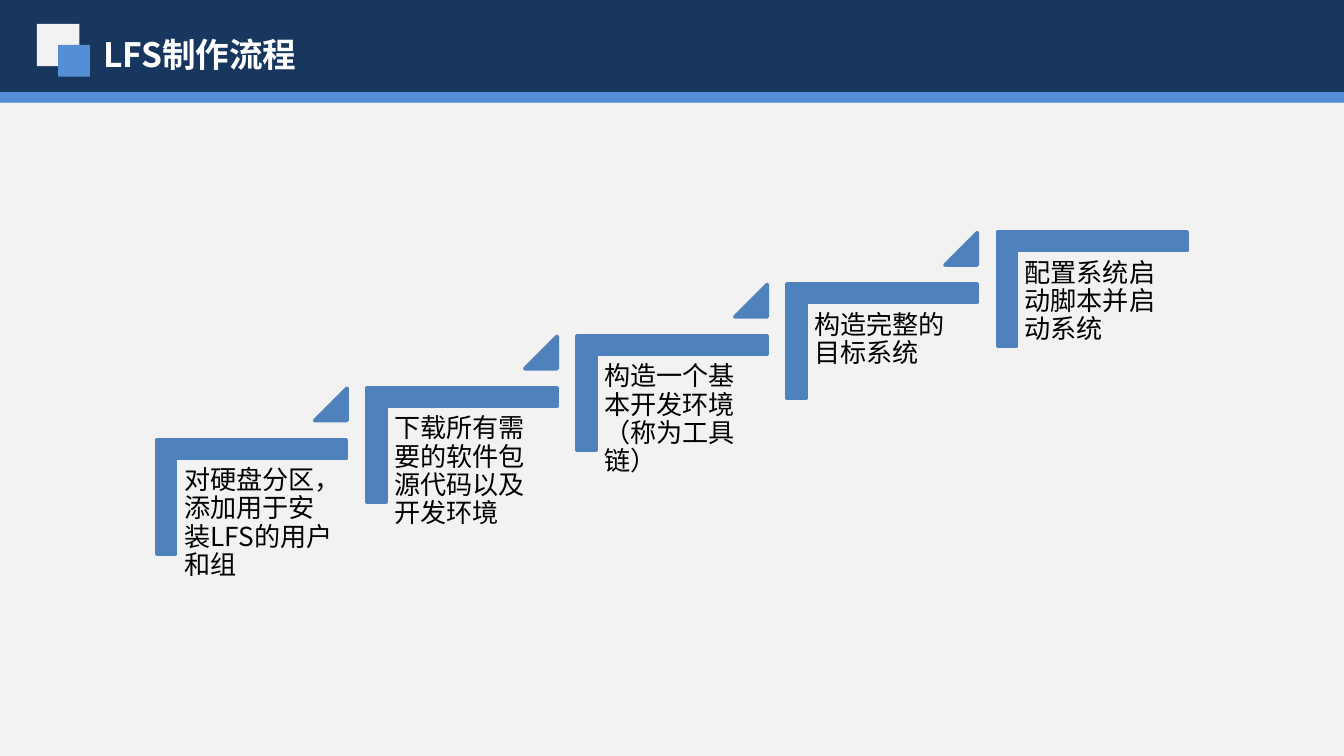
"""Build the LFS process slide: a title banner and five rising steps."""
from lxml import etree
from pptx import Presentation
from pptx.dml.color import RGBColor
from pptx.enum.shapes import MSO_SHAPE
from pptx.oxml.ns import qn
from pptx.util import Cm, Pt

RECTANGLE = MSO_SHAPE.RECTANGLE
CORNER = MSO_SHAPE.CORNER
TRIANGLE = MSO_SHAPE.ISOSCELES_TRIANGLE

FONT = "Noto Sans CJK SC"
NAVY, SKY, PALE = "17375E", "558ED5", "F2F2F2"
STEP_BLUE, BLACK, WHITE = "4F81BD", "000000", "FFFFFF"

SLIDE_WIDTH, SLIDE_HEIGHT = 25.4, 14.29
STEP_RUN, STEP_RISE = 3.97, 0.98
STEPS = [
    "对硬盘分区，添加用于安装LFS的用户和组",
    "下载所有需要的软件包源代码以及开发环境",
    "构造一个基本开发环境（称为工具链）",
    "构造完整的目标系统",
    "配置系统启动脚本并启动系统",
]


def color(hex_value):
    return RGBColor.from_string(hex_value)


def add_block(slide, preset, box, fill, outlined=False, adjustments=()):
    block = slide.shapes.add_shape(preset, *map(Cm, box))
    block.shadow.inherit = False
    block.fill.solid()
    block.fill.fore_color.rgb = color(fill)
    if outlined:
        block.line.color.rgb = color(fill)
        block.line.width = Pt(2)
    else:
        block.line.fill.background()
    for index, value in enumerate(adjustments):
        block.adjustments[index] = value
    return block


def add_text(slide, box, text, size, hex_value, bold=False, insets=(0.25, 0.13), spacing=None):
    label = slide.shapes.add_textbox(*map(Cm, box))
    frame = label.text_frame
    frame.word_wrap = True
    frame.margin_left = frame.margin_right = Cm(insets[0])
    frame.margin_top = frame.margin_bottom = Cm(insets[1])
    paragraph = frame.paragraphs[0]
    paragraph.text = text
    paragraph.line_spacing = spacing
    font = paragraph.font
    font.size = Pt(size)
    font.bold = bold
    font.color.rgb = color(hex_value)
    font.name = FONT
    properties = paragraph._p.pPr.find(qn("a:defRPr"))
    etree.SubElement(properties, qn("a:ea")).set("typeface", FONT)


def add_banner(slide, title):
    add_block(slide, RECTANGLE, (0, 0, SLIDE_WIDTH, 1.93), NAVY)
    add_block(slide, RECTANGLE, (0, 1.74, SLIDE_WIDTH, 0.2), SKY)
    add_text(slide, (1.7, 0.51, 6.4, 1.02), title, 18, WHITE, bold=True)
    add_block(slide, RECTANGLE, (0.7, 0.45, 0.8, 0.8), PALE)
    add_block(slide, RECTANGLE, (1.1, 0.85, 0.6, 0.6), SKY)


def add_step(slide, index, text, has_next):
    x, y = index * STEP_RUN, -index * STEP_RISE
    bracket = add_block(slide, CORNER, (3.68 + x, 7.6 + y, 2.16, 3.58), STEP_BLUE,
                        outlined=True, adjustments=(0.161, 0.161))
    bracket.rotation = 90
    add_text(slide, (3.33 + x, 8.68 + y, 3.25, 2.84), text, 14, BLACK,
             insets=(0.15, 0.15), spacing=0.9)
    if has_next:
        add_block(slide, TRIANGLE, (5.95 + x, 7.34 + y, 0.61, 0.61), STEP_BLUE,
                  outlined=True, adjustments=(1,))


def main():
    deck = Presentation()
    deck.slide_width, deck.slide_height = Cm(SLIDE_WIDTH), Cm(SLIDE_HEIGHT)
    slide = deck.slides.add_slide(deck.slide_layouts[6])
    slide.background.fill.solid()
    slide.background.fill.fore_color.rgb = color(PALE)
    add_banner(slide, "LFS制作流程")
    for index, text in enumerate(STEPS):
        add_step(slide, index, text, has_next=index < len(STEPS) - 1)
    deck.save("out.pptx")


main()
